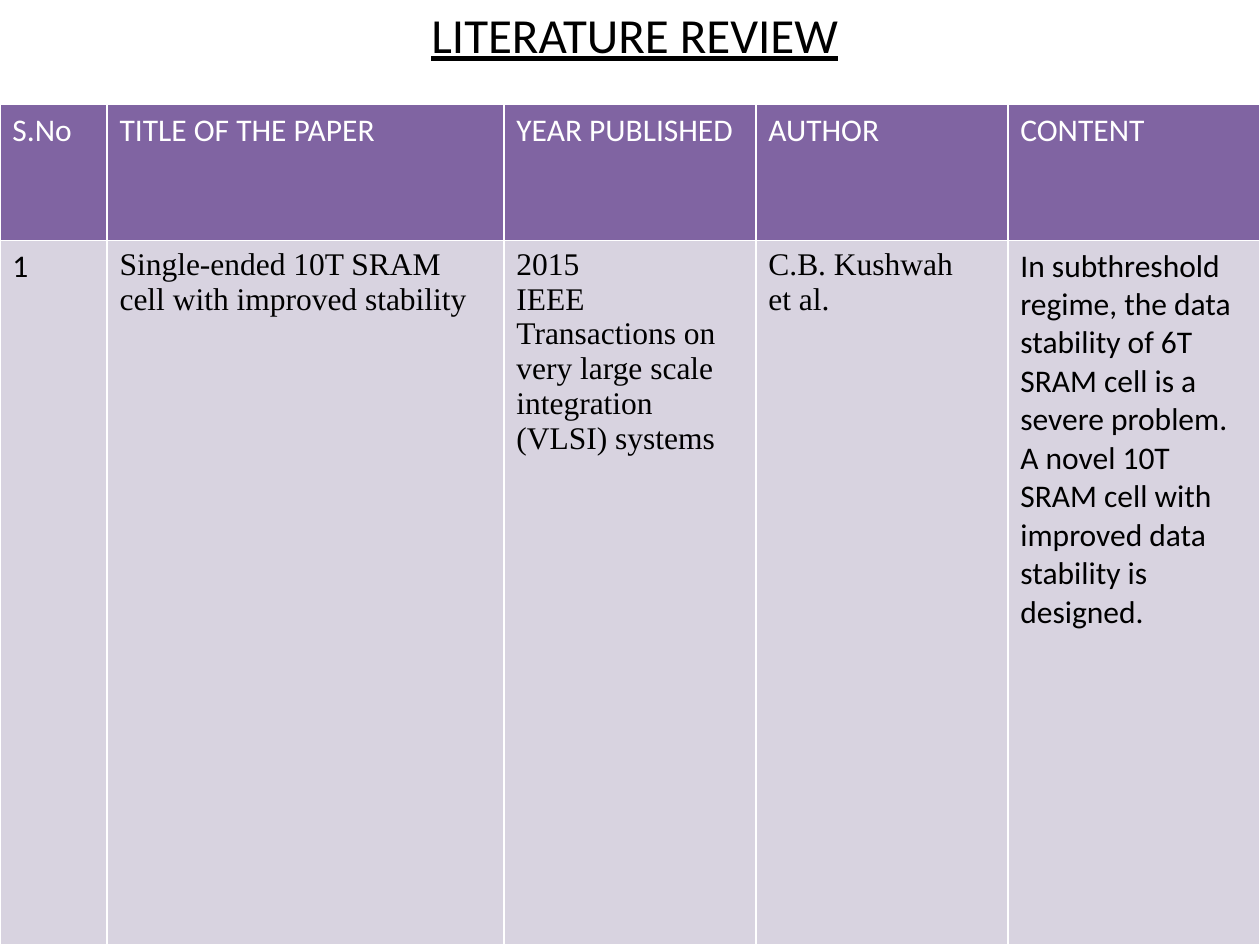
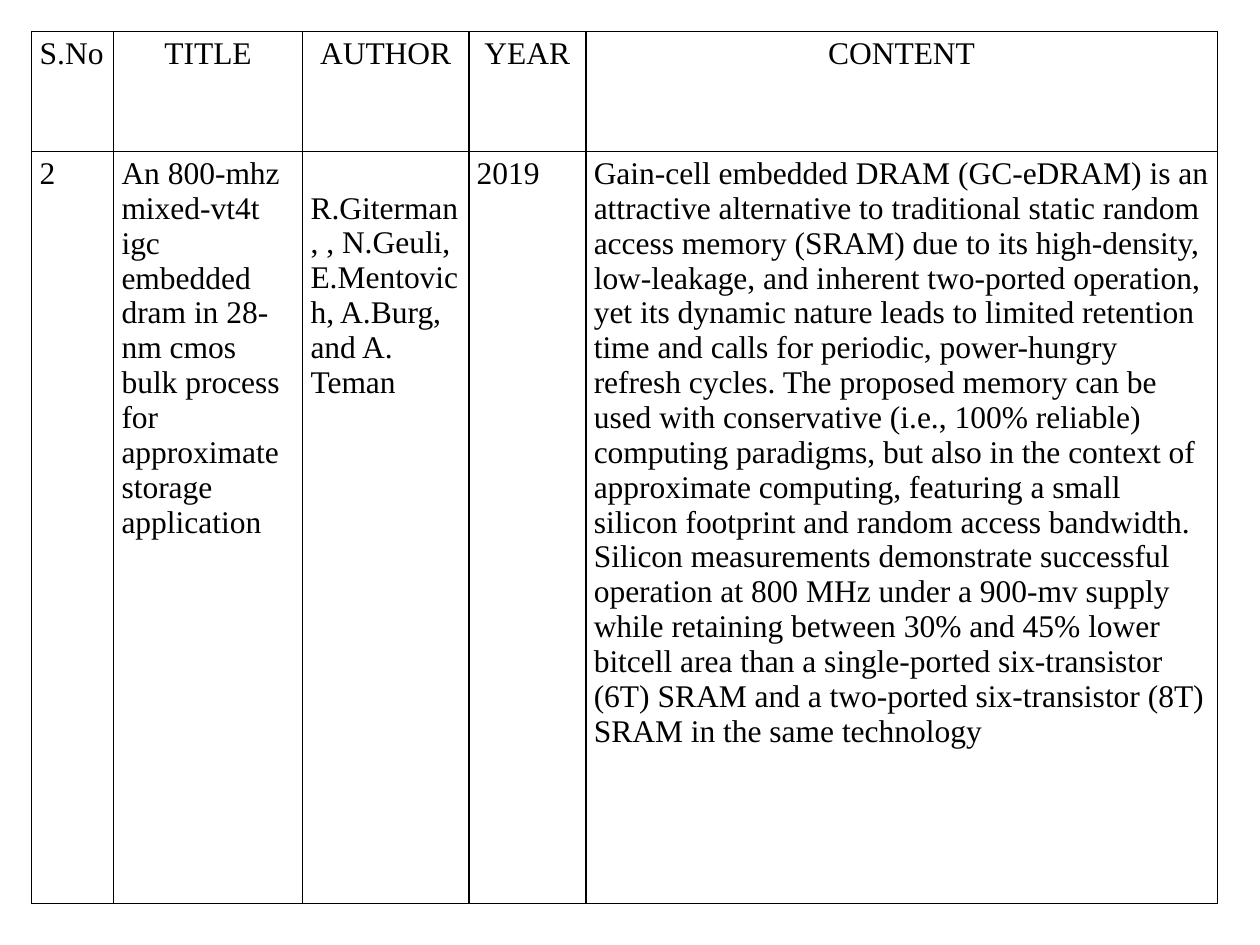
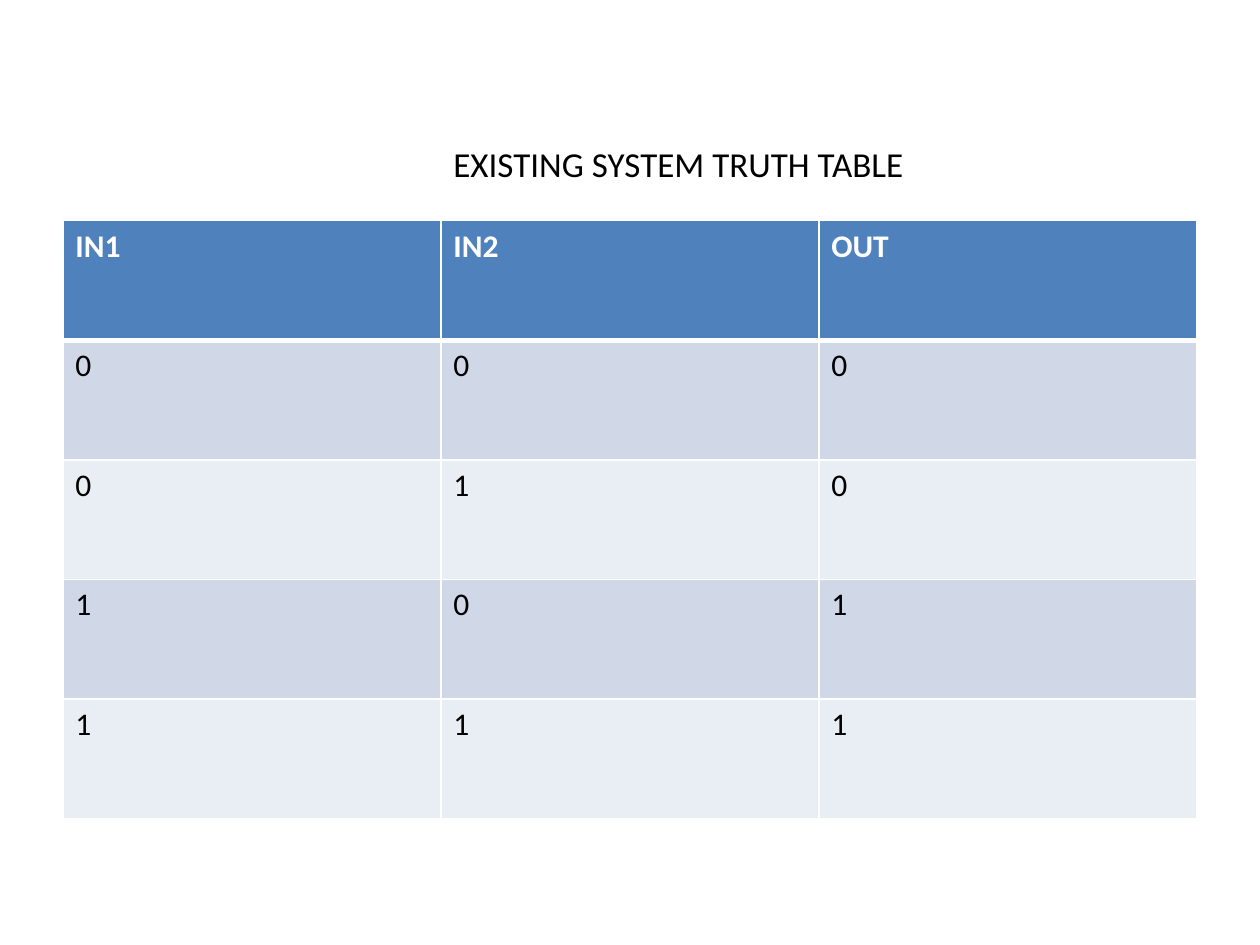
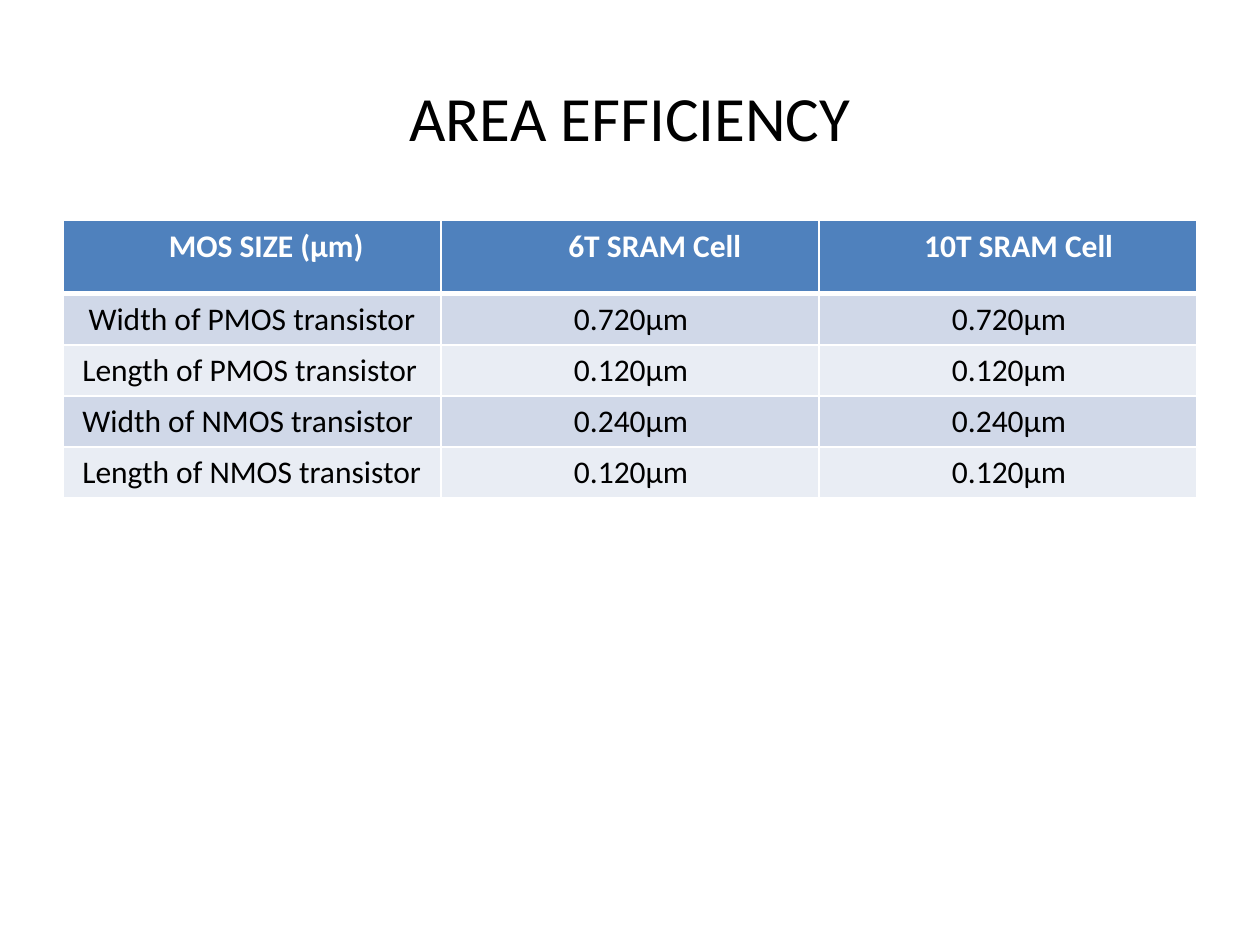
"""Build four slides on SRAM literature, a truth table and area efficiency."""
from dataclasses import dataclass

from lxml.etree import SubElement
from pptx import Presentation
from pptx.dml.color import RGBColor
from pptx.enum.text import MSO_ANCHOR, PP_ALIGN
from pptx.oxml.ns import qn
from pptx.util import Cm, Pt

COLORS = {
    "black": "000000",
    "white": "FFFFFF",
    "purple": "8064A2",
    "lilac": "D8D3E0",
    "blue": "4F81BD",
    "blue_band": "D0D8E8",
    "pale_band": "E9EDF4",
}
SANS, SERIF = "Calibri", "Times New Roman"


@dataclass
class Entry:
    text: str
    font: str = ""
    align: PP_ALIGN = PP_ALIGN.LEFT
    indent: float = 0
    drop: float = 0


@dataclass
class TableStyle:
    header_fill: str = "blue"
    bands: tuple = ("blue_band", "pale_band")
    header_color: str = "white"
    header_bold: bool = True
    font: str = SANS
    border: str = "white"
    header_rule: float = 3
    inset: tuple = (0.25, 0.13)


BLUE = TableStyle()
PURPLE = TableStyle("purple", ("lilac",), header_bold=False, header_rule=1)
PLAIN = TableStyle("", ("",), "black", False, SERIF, "black", 1, (0.16, 0.1))


class Deck:
    def __init__(self):
        self.presentation = Presentation()
        self.presentation.slide_width = Cm(25.4)
        self.presentation.slide_height = Cm(19.05)
        self.slide = None

    def add_slide(self):
        self.slide = self.presentation.slides.add_slide(self.presentation.slide_layouts[6])

    def style_text(self, frame, size, font, color, align, bold=False, underline=False):
        for paragraph in frame.paragraphs:
            paragraph.alignment = align
            paragraph.font.size = Pt(size)
            paragraph.font.name = font
            paragraph.font.bold = bold
            paragraph.font.underline = underline
            paragraph.font.color.rgb = RGBColor.from_string(COLORS[color])

    def add_text(self, text, box, size, align=PP_ALIGN.LEFT, anchor=MSO_ANCHOR.MIDDLE, underline=False):
        frame = self.slide.shapes.add_textbox(*map(Cm, box)).text_frame
        frame.word_wrap = True
        frame.vertical_anchor = anchor
        frame.text = text
        self.style_text(frame, size, SANS, "black", align, underline=underline)

    def set_fill(self, cell, color):
        if color:
            cell.fill.solid()
            cell.fill.fore_color.rgb = RGBColor.from_string(COLORS[color])
        else:
            cell.fill.background()

    def set_borders(self, cell, color, top, bottom):
        properties = cell._tc.get_or_add_tcPr()
        widths = {"lnL": 1, "lnR": 1, "lnT": top, "lnB": bottom}
        for position, (tag, width) in enumerate(widths.items()):
            line = SubElement(properties, qn(f"a:{tag}"), w=str(Pt(width)))
            fill = SubElement(line, qn("a:solidFill"))
            SubElement(fill, qn("a:srgbClr"), val=COLORS[color])
            properties.insert(position, line)

    def fill_cell(self, cell, entry, row, style):
        is_header = row == 0
        side, edge = style.inset
        cell.margin_left, cell.margin_right = Cm(side + entry.indent), Cm(side)
        cell.margin_top, cell.margin_bottom = Cm(edge + entry.drop), Cm(edge)
        cell.text_frame.text = entry.text
        self.style_text(
            cell.text_frame, 18, entry.font or style.font,
            style.header_color if is_header else "black",
            entry.align, is_header and style.header_bold,
        )
        self.set_fill(cell, style.header_fill if is_header else style.bands[(row - 1) % len(style.bands)])
        self.set_borders(
            cell, style.border,
            style.header_rule if row == 1 else 1,
            style.header_rule if is_header else 1,
        )

    def add_table(self, left, top, widths, heights, rows, style):
        box = map(Cm, (left, top, sum(widths), sum(heights)))
        table = self.slide.shapes.add_table(len(heights), len(widths), *box).table
        table.first_row = table.horz_banding = False
        for column, width in zip(table.columns, widths):
            column.width = Cm(width)
        for table_row, height in zip(table.rows, heights):
            table_row.height = Cm(height)
        for row, entries in enumerate(rows):
            for column, entry in enumerate(entries):
                if isinstance(entry, str):
                    entry = Entry(entry)
                self.fill_cell(table.cell(row, column), entry, row, style)


def add_literature_review(deck):
    deck.add_slide()
    deck.add_text("LITERATURE REVIEW", (2.97, -1.07, 14.17, 3.5), 28, PP_ALIGN.RIGHT, underline=True)
    rows = [
        ["S.No", "TITLE OF THE PAPER", "YEAR PUBLISHED", "AUTHOR", "CONTENT"],
        [
            "1",
            Entry("Single-ended 10T SRAM cell with improved stability", SERIF),
            Entry("2015\nIEEE Transactions on very large scale integration (VLSI) systems", SERIF),
            Entry("C.B. Kushwah\net al.", SERIF),
            "In subthreshold regime, the data stability of 6T SRAM cell is a severe problem.\n"
            "A novel 10T SRAM cell with improved data stability is designed.",
        ],
    ]
    deck.add_table(0, 2.11, [2.16, 8] + [5.08] * 3, [2.74, 14.2], rows, PURPLE)


def add_second_paper(deck):
    deck.add_slide()
    headings = [Entry(text, align=PP_ALIGN.CENTER) for text in ("TITLE", "AUTHOR", "YEAR", "CONTENT")]
    rows = [
        ["S.No", *headings],
        [
            "2",
            "An 800-mhz mixed-vt4t igc embedded dram in 28-nm cmos bulk process "
            "for approximate storage application",
            Entry("R.Giterman, , N.Geuli, E.Mentovich, A.Burg, and A. Teman", drop=0.7),
            "2019",
            "Gain-cell embedded DRAM (GC-eDRAM) is an attractive alternative to traditional static "
            "random access memory (SRAM) due to its high-density, low-leakage, and inherent two-ported "
            "operation, yet its dynamic nature leads to limited retention time and calls for periodic, "
            "power-hungry refresh cycles. The proposed memory can be used with conservative (i.e., 100% "
            "reliable) computing paradigms, but also in the context of approximate computing, featuring "
            "a small silicon footprint and random access bandwidth. Silicon measurements demonstrate "
            "successful operation at 800 MHz under a 900-mv supply while retaining between 30% and 45% "
            "lower bitcell area than a single-ported six-transistor (6T) SRAM and a two-ported "
            "six-transistor (8T) SRAM in the same technology",
        ],
    ]
    deck.add_table(0.64, 0.64, [1.65, 3.81, 3.35, 2.36, 12.73], [2.41, 15.16], rows, PLAIN)


def add_truth_table(deck):
    deck.add_slide()
    rows = [["IN1", "IN2", "OUT"], *map(list, ("000", "010", "101", "111"))]
    deck.add_table(1.27, 4.45, [7.62] * 3, [2.41] * 5, rows, BLUE)
    deck.add_text("EXISTING SYSTEM TRUTH TABLE", (8.89, 2.74, 10, 1.11), 20, anchor=MSO_ANCHOR.TOP)


def add_area_efficiency(deck):
    deck.add_slide()
    deck.add_text("AREA EFFICIENCY", (1.27, 0.76, 22.86, 3.18), 36, PP_ALIGN.CENTER)
    headings = [("MOS SIZE (µm)", 0.57), ("6T SRAM Cell", 1), ("10T SRAM Cell", 0.43)]
    rows = [[Entry(text, align=PP_ALIGN.CENTER, indent=indent) for text, indent in headings]]
    sizes = [
        (Entry("Width of PMOS transistor", align=PP_ALIGN.CENTER), "0.720µm"),
        (Entry("Length of PMOS transistor", indent=0.14), "0.120µm"),
        (Entry("Width of NMOS transistor", indent=0.14), "0.240µm"),
        (Entry("Length of NMOS transistor", indent=0.14), "0.120µm"),
    ]
    for label, size in sizes:
        rows.append([label] + [Entry(size, indent=2.43)] * 2)
    deck.add_table(1.27, 4.45, [7.62] * 3, [1.47] + [1.03] * 4, rows, BLUE)


def main():
    deck = Deck()
    add_literature_review(deck)
    add_second_paper(deck)
    add_truth_table(deck)
    add_area_efficiency(deck)
    deck.presentation.save("out.pptx")


if __name__ == "__main__":
    main()
